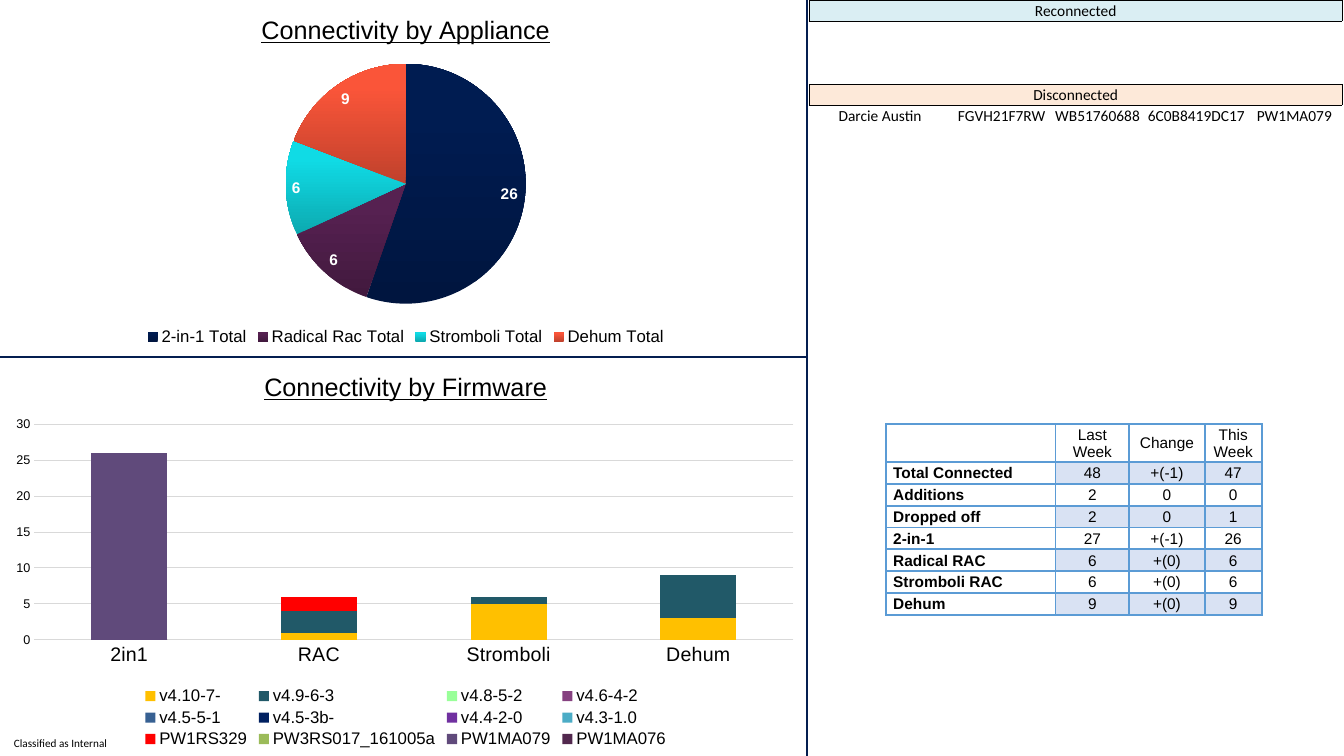
from lxml.etree import SubElement
from pptx import Presentation
from pptx.chart.data import CategoryChartData
from pptx.dml.color import RGBColor
from pptx.enum.chart import XL_CHART_TYPE, XL_LABEL_POSITION, XL_LEGEND_POSITION, XL_TICK_MARK
from pptx.enum.shapes import MSO_CONNECTOR
from pptx.enum.text import MSO_ANCHOR, PP_ALIGN
from pptx.oxml import parse_xml
from pptx.oxml.ns import nsdecls, qn
from pptx.util import Cm, Pt

BLACK = RGBColor(0x00, 0x00, 0x00)
WHITE = RGBColor(0xFF, 0xFF, 0xFF)
NAVY = RGBColor(0x04, 0x1E, 0x50)
GRID = RGBColor(0xD9, 0xD9, 0xD9)
TABLE_BLUE = RGBColor(0x5B, 0x9B, 0xD5)
BAND = RGBColor(0xD9, 0xE2, 0xF3)
RECONNECTED = RGBColor(0xDA, 0xEE, 0xF3)
DISCONNECTED = RGBColor(0xFD, 0xE9, 0xD9)

APPLIANCES = [
    ("2-in-1 Total", 26, RGBColor(0x00, 0x15, 0x3F), RGBColor(0x00, 0x1C, 0x51)),
    ("Radical Rac Total", 6, RGBColor(0x42, 0x19, 0x3E), RGBColor(0x56, 0x21, 0x51)),
    ("Stromboli Total", 6, RGBColor(0x0C, 0xA9, 0xB0), RGBColor(0x10, 0xDB, 0xE5)),
    ("Dehum Total", 9, RGBColor(0xC0, 0x41, 0x2C), RGBColor(0xFA, 0x55, 0x39)),
]
FIRMWARE = [
    ("v4.10-7-", (0, 1, 5, 3), RGBColor(0xFF, 0xC0, 0x00)),
    ("v4.9-6-3", (0, 3, 1, 6), RGBColor(0x21, 0x59, 0x68)),
    ("v4.8-5-2", (0, 0, 0, 0), RGBColor(0x99, 0xFF, 0x99)),
    ("v4.6-4-2", (0, 0, 0, 0), RGBColor(0x86, 0x41, 0x80)),
    ("v4.5-5-1", (0, 0, 0, 0), RGBColor(0x37, 0x60, 0x92)),
    ("v4.5-3b-", (0, 0, 0, 0), RGBColor(0x00, 0x20, 0x60)),
    ("v4.4-2-0", (0, 0, 0, 0), RGBColor(0x70, 0x30, 0xA0)),
    ("v4.3-1.0", (0, 0, 0, 0), RGBColor(0x4B, 0xAC, 0xC6)),
    ("PW1RS329", (0, 2, 0, 0), RGBColor(0xFF, 0x00, 0x00)),
    ("PW3RS017_161005a", (0, 0, 0, 0), RGBColor(0x9B, 0xBB, 0x59)),
    ("PW1MA079", (26, 0, 0, 0), RGBColor(0x60, 0x4A, 0x7B)),
    ("PW1MA076", (0, 0, 0, 0), RGBColor(0x52, 0x28, 0x4E)),
]
WEEKS = [
    ("", "Last Week", "Change", "This Week"),
    ("Total Connected", "48", "+(-1)", "47"),
    ("Additions", "2", "0", "0"),
    ("Dropped off", "2", "0", "1"),
    ("2-in-1", "27", "+(-1)", "26"),
    ("Radical RAC", "6", "+(0)", "6"),
    ("Stromboli RAC", "6", "+(0)", "6"),
    ("Dehum", "9", "+(0)", "9"),
]
EMPTY_ROW = ("",) * 5
CHANGES = [
    (("Reconnected", "", "", "", ""), RECONNECTED, "LRTB"),
    (EMPTY_ROW, None, "T"),
    (EMPTY_ROW, None, ""),
    (EMPTY_ROW, None, "B"),
    (("Disconnected", "", "", "", ""), DISCONNECTED, "LRTB"),
    (("Darcie Austin", "FGVH21F7RW", "WB51760688", "6C0B8419DC17", "PW1MA079 "), None, "T"),
]


class Dashboard:
    chart_font = "Arial"
    label_font = "Calibri"

    def __init__(self, page):
        self.page = page

    def style(self, font, size, name, color=BLACK, bold=False):
        font.size, font.name, font.bold = Pt(size), name, bold
        font.color.rgb = color

    def text(self, left, top, width, height, words, size):
        box = self.page.shapes.add_textbox(Cm(left), Cm(top), Cm(width), Cm(height))
        frame = box.text_frame
        frame.margin_left = frame.margin_right = frame.margin_top = frame.margin_bottom = 0
        frame.word_wrap = True
        frame.vertical_anchor = MSO_ANCHOR.MIDDLE
        span = frame.paragraphs[0].add_run()
        span.text = words
        self.style(span.font, size, self.label_font)

    def divider(self, *ends):
        line = self.page.shapes.add_connector(MSO_CONNECTOR.STRAIGHT, *map(Cm, ends))
        line.line.color.rgb = NAVY
        line.line.width = Pt(1.5)
        SubElement(line._element.spPr, qn("a:effectLst"))

    def table(self, left, top, widths, heights):
        rows, columns = len(heights), len(widths)
        frame = self.page.shapes.add_table(
            rows, columns, Cm(left), Cm(top), Cm(sum(widths)), Cm(sum(heights)))
        table = frame.table
        table.first_row = table.horz_banding = False
        for column, width in zip(table.columns, widths):
            column.width = Cm(width)
        for row, height in zip(table.rows, heights):
            row.height = Cm(height)
        return table

    def cell(self, cell, words, font, fill, sides, color, width, margin,
             align=PP_ALIGN.CENTER, bold=False, anchor=MSO_ANCHOR.MIDDLE):
        cell.margin_left = cell.margin_right = Cm(margin)
        cell.margin_top, cell.margin_bottom = Cm(0.02), 0
        cell.vertical_anchor = anchor
        properties = cell._tc.get_or_add_tcPr()
        for side in "LRTB":
            border = SubElement(properties, qn(f"a:ln{side}"), w=str(Pt(width)))
            if side in sides:
                paint = SubElement(border, qn("a:solidFill"))
                SubElement(paint, qn("a:srgbClr"), val=str(color))
            else:
                SubElement(border, qn("a:noFill"))
        if fill is None:
            cell.fill.background()
        else:
            cell.fill.solid()
            cell.fill.fore_color.rgb = fill
        para = cell.text_frame.paragraphs[0]
        para.alignment = align
        if words:
            span = para.add_run()
            span.text = words
            self.style(span.font, 11, font, bold=bold)
        else:
            SubElement(para._p, qn("a:endParaRPr"), sz="1100")

    def layout(self, parent, x, y, width, height, inner=False):
        old = parent.find(qn("c:layout"))
        if old is not None:
            parent.remove(old)
        target = '<c:layoutTarget val="inner"/>' if inner else ""
        sizes = "".join(f'<c:{tag} val="{value}"/>' for tag, value in
                        zip("xywh", (x, y, width, height)))
        layout = parse_xml(
            f'<c:layout {nsdecls("c")}><c:manualLayout>{target}<c:xMode val="edge"/>'
            f'<c:yMode val="edge"/>{sizes}</c:manualLayout></c:layout>')
        parent.insert(0 if inner else 1, layout)

    def chart(self, kind, top, height, title, categories, series, plot_area):
        data = CategoryChartData()
        data.categories = categories
        for name, values in series:
            data.add_series(name, values)
        chart = self.page.shapes.add_chart(
            kind, Cm(0.05), Cm(top), Cm(20.35), Cm(height), data).chart
        chart.replace_data(data)
        self.style(chart.font, 10, self.chart_font)
        chart.has_title = True
        span = chart.chart_title.text_frame.paragraphs[0].add_run()
        span.text = title
        self.style(span.font, 18, self.chart_font)
        span.font.underline = True
        chart.chart_title.include_in_layout = False
        chart.has_legend = True
        chart.legend.position = XL_LEGEND_POSITION.BOTTOM
        chart.legend.include_in_layout = False
        self.style(chart.legend.font, 12, self.chart_font)
        self.layout(chart._chartSpace.chart.plotArea, *plot_area, inner=True)
        return chart

    def appliance_pie(self):
        names, totals, darks, lights = zip(*APPLIANCES)
        chart = self.chart(XL_CHART_TYPE.PIE, -0.08, 8.89, "Connectivity by Appliance", names,
                           [("Series 1", totals), ("Series 2", (0,))], (0.35, 0.19, 0.3, 0.68))
        plot = chart.plots[0]
        for index, colors in enumerate(zip(darks, lights)):
            fill = plot.series[0].points[index].format.fill
            fill.gradient()
            fill.gradient_angle = 90
            for stop, color, position in zip(fill.gradient_stops, colors, (0, 0.8)):
                stop.color.rgb = color
                stop.position = position
        labels = plot.series[0].data_labels
        labels.show_value = True
        labels.show_percentage = False
        labels.position = XL_LABEL_POSITION.INSIDE_END
        self.style(labels.font, 11, self.chart_font, WHITE, True)

    def firmware_columns(self):
        chart = self.chart(XL_CHART_TYPE.COLUMN_STACKED, 8.88, 10.06, "Connectivity by Firmware",
                           ("2in1", "RAC", "Stromboli", "Dehum"),
                           [entry[:2] for entry in FIRMWARE], (0.04, 0.18, 0.94, 0.54))
        self.layout(chart.legend._element, 0.17, 0.83, 0.66, 0.17)
        plot = chart.plots[0]
        plot.gap_width, plot.overlap, plot.vary_by_categories = 150, 100, False
        for series, (_, _, color) in zip(plot.series, FIRMWARE):
            series.format.fill.solid()
            series.format.fill.fore_color.rgb = color
        for axis, size in ((chart.category_axis, 14), (chart.value_axis, 9)):
            axis.major_tick_mark = axis.minor_tick_mark = XL_TICK_MARK.NONE
            self.style(axis.tick_labels.font, size, self.chart_font)
        values = chart.value_axis
        values.minimum_scale, values.maximum_scale, values.major_unit = 0, 30, 5
        values.format.line.fill.background()
        for line in (chart.category_axis.format.line, values.major_gridlines.format.line):
            line.color.rgb = GRID
            line.width = Pt(0.75)

    def week_table(self):
        table = self.table(22.33, 10.69, (4.27, 1.86, 1.9, 1.44), [0.95] + [0.55] * 7)
        for row, entries in enumerate(WEEKS):
            for column, words in enumerate(entries):
                label = column == 0
                self.cell(table.cell(row, column), words, self.chart_font,
                          BAND if row % 2 and not label else WHITE,
                          "LRTB", TABLE_BLUE, 1.5, 0.18 if label or row == 0 else 0.02,
                          PP_ALIGN.LEFT if label else PP_ALIGN.CENTER, label)

    def change_table(self):
        table = self.table(20.4, 0, (3.56, 2.57, 2.26, 2.72, 2.31), [0.53] * 6)
        for row, (entries, fill, sides) in enumerate(CHANGES):
            for column, words in enumerate(entries):
                self.cell(table.cell(row, column), words, self.label_font, fill, sides,
                          BLACK, 0.5, 0.02, anchor=MSO_ANCHOR.BOTTOM if fill else MSO_ANCHOR.MIDDLE)
            if fill:
                table.cell(row, 0).merge(table.cell(row, 4))


def main():
    deck = Presentation()
    deck.slide_width, deck.slide_height = Cm(33.87), Cm(19.05)
    board = Dashboard(deck.slides.add_slide(deck.slide_layouts[6]))
    board.text(0.35, 18.42, 2.7, 0.63, "Classified as Internal", 8)
    board.divider(0, 9, 20.34, 9)
    board.divider(20.34, 9, 20.34, 0)
    board.divider(20.34, 9, 20.34, 19.05)
    board.week_table()
    board.appliance_pie()
    board.firmware_columns()
    board.change_table()
    deck.save("out.pptx")


if __name__ == "__main__":
    main()
